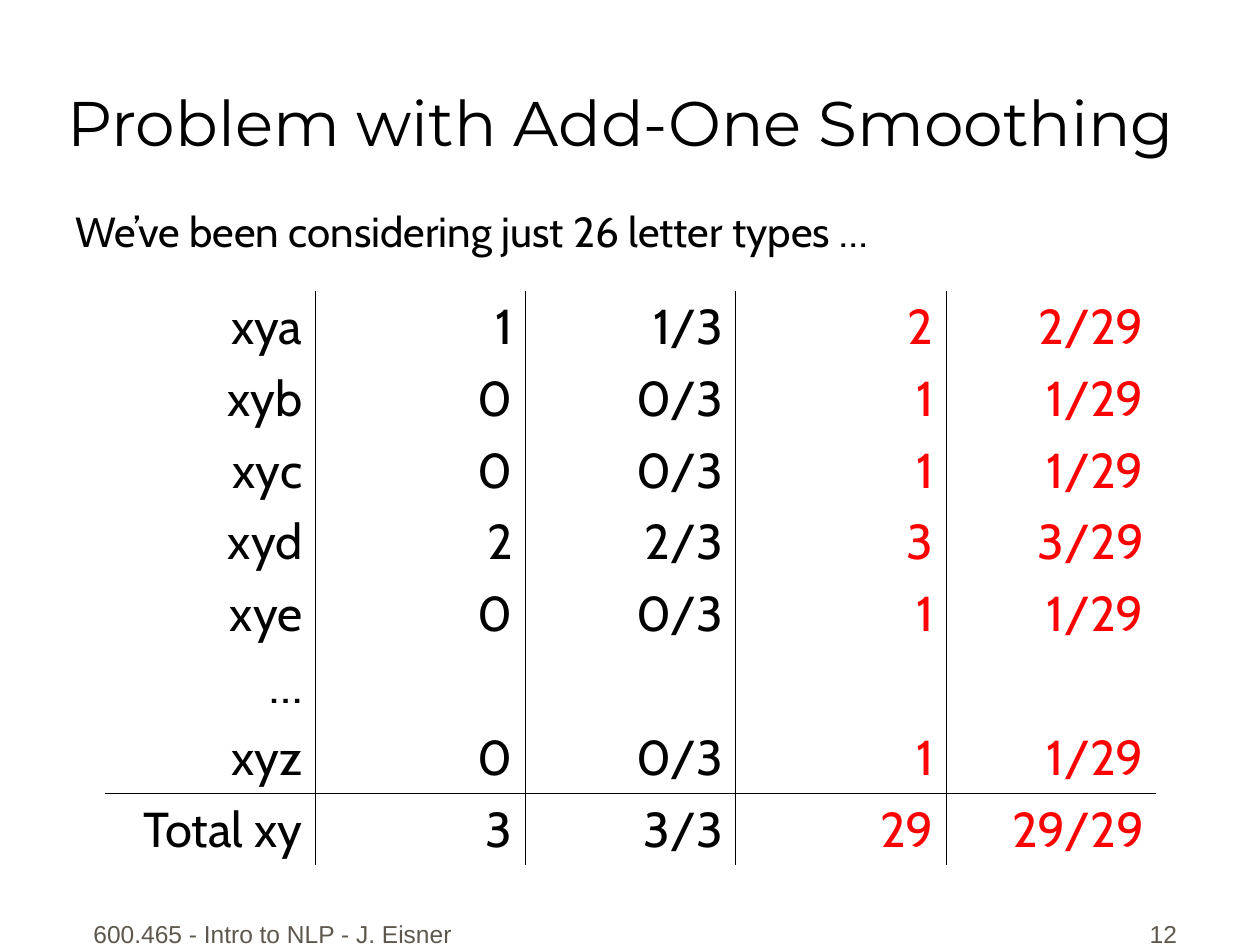
from lxml import etree
from pptx import Presentation
from pptx.dml.color import RGBColor
from pptx.enum.text import MSO_ANCHOR, PP_ALIGN
from pptx.oxml.ns import qn
from pptx.util import Inches, Pt

LEFT, CENTER, RIGHT = PP_ALIGN.LEFT, PP_ALIGN.CENTER, PP_ALIGN.RIGHT
TOP, BOTTOM = MSO_ANCHOR.TOP, MSO_ANCHOR.BOTTOM

BLACK = RGBColor(0x00, 0x00, 0x00)
RED = RGBColor(0xFF, 0x00, 0x00)
BROWN = RGBColor(0x5E, 0x57, 0x4E)

TITLE = {"name": "Montserrat", "size": Pt(36)}
BODY = {"name": "Cabin", "size": Pt(24)}
COUNTS = {"name": "Cabin", "size": Pt(28)}
FOOTER = {"name": "Arial", "size": Pt(14)}
RULE_WIDTH = Pt(0.45)

BIGRAM_COUNTS = [
    ("xya", "1", "1/3", "2", "2/29"),
    ("xyb", "0", "0/3", "1", "1/29"),
    ("xyc", "0", "0/3", "1", "1/29"),
    ("xyd", "2", "2/3", "3", "3/29"),
    ("xye", "0", "0/3", "1", "1/29"),
    ("…", "", "", "", ""),
    ("xyz", "0", "0/3", "1", "1/29"),
    ("Total xy", "3", "3/3", "29", "29/29"),
]
FIRST_SMOOTHED_COLUMN = 3


class SlideBuilder:
    def __init__(self, slide):
        self.slide = slide

    def fill_paragraph(self, paragraph, text, style, color, align):
        paragraph.text = text
        paragraph.alignment = align
        for attribute, value in style.items():
            setattr(paragraph.font, attribute, value)
        paragraph.font.color.rgb = color

    def text(self, box, text, style, color=BLACK, align=LEFT, anchor=TOP):
        frame = self.slide.shapes.add_textbox(*map(Inches, box)).text_frame
        frame.word_wrap = True
        frame.vertical_anchor = anchor
        self.fill_paragraph(frame.paragraphs[0], text, style, color, align)

    def borders(self, cell, ruled_sides):
        """Rule the given sides (letters of LRTB) and clear the others."""
        properties = cell._tc.get_or_add_tcPr()
        for side in "LRTB":
            line = etree.SubElement(properties, qn(f"a:ln{side}"))
            if side in ruled_sides:
                line.set("w", str(RULE_WIDTH))
                fill = etree.SubElement(line, qn("a:solidFill"))
                etree.SubElement(fill, qn("a:srgbClr"), val=str(BLACK))
            else:
                etree.SubElement(line, qn("a:noFill"))

    def count_table(self, left, top, column_width, row_height, rows):
        row_count, column_count = len(rows), len(rows[0])
        table = self.slide.shapes.add_table(
            row_count, column_count, Inches(left), Inches(top),
            Inches(column_width * column_count),
            Inches(row_height * row_count)).table
        table.first_row = table.horz_banding = False
        total_row, last_column = row_count - 1, column_count - 1
        for r, row in enumerate(rows):
            for c, value in enumerate(row):
                cell = table.cell(r, c)
                sides = {"L": c > 0, "R": c < last_column,
                         "T": r == total_row, "B": r == total_row - 1}
                self.borders(cell, [s for s, ruled in sides.items() if ruled])
                cell.fill.background()
                color = RED if c >= FIRST_SMOOTHED_COLUMN else BLACK
                self.fill_paragraph(cell.text_frame.paragraphs[0], value,
                                    COUNTS, color, RIGHT)


def main():
    presentation = Presentation()
    presentation.slide_width = Inches(10)
    presentation.slide_height = Inches(7.5)
    blank = presentation.slide_layouts[6]
    builder = SlideBuilder(presentation.slides.add_slide(blank))

    builder.text((0.58, 7.08, 3.17, 0.5), "600.465 - Intro to NLP - J. Eisner",
                 FOOTER, BROWN, CENTER, BOTTOM)
    builder.text((7.36, 7.08, 2.08, 0.5), "12", FOOTER, BROWN, RIGHT, BOTTOM)
    builder.text((0.44, 0.06, 9.56, 1.25), "Problem with Add-One Smoothing",
                 TITLE, anchor=BOTTOM)
    builder.count_table(0.83, 2.31, 1.67, 0.57, BIGRAM_COUNTS)
    builder.text((0.5, 1.58, 9.5, 5.08),
                 "We’ve been considering just 26 letter types …", BODY)

    presentation.save("out.pptx")


if __name__ == "__main__":
    main()
